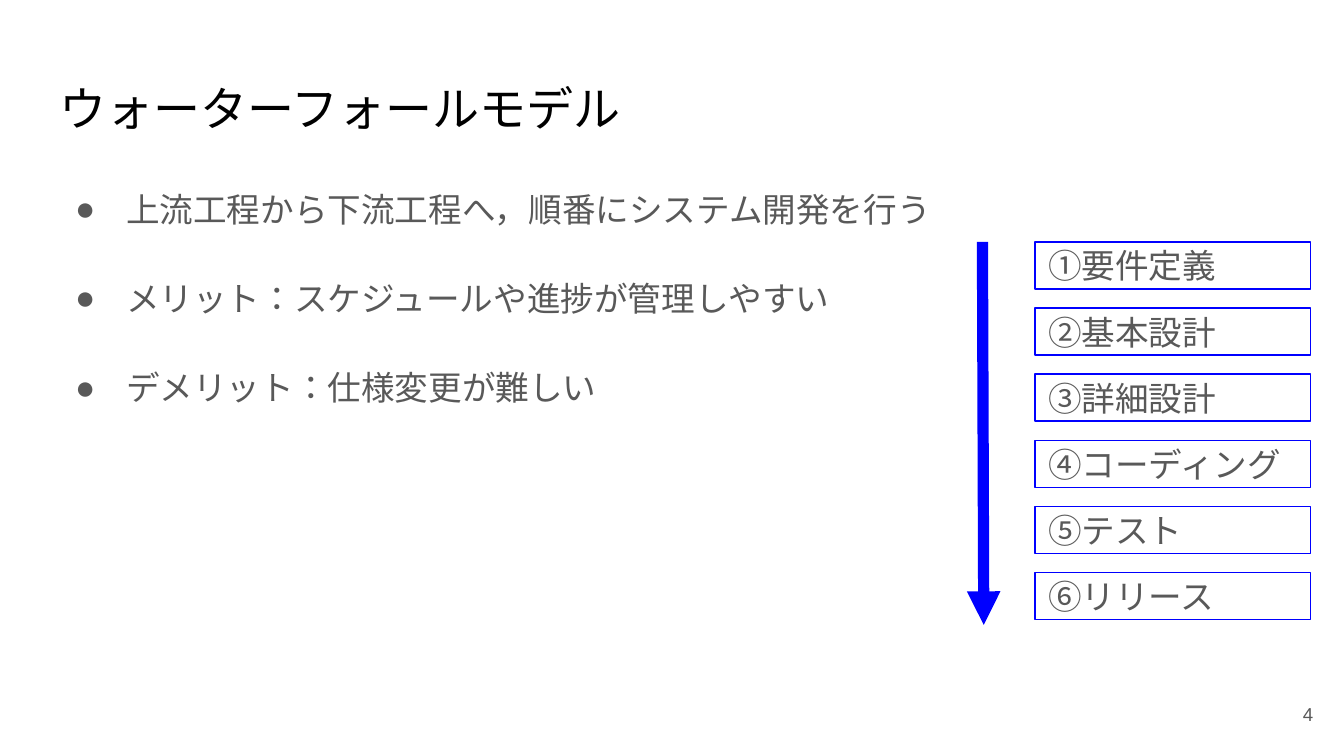
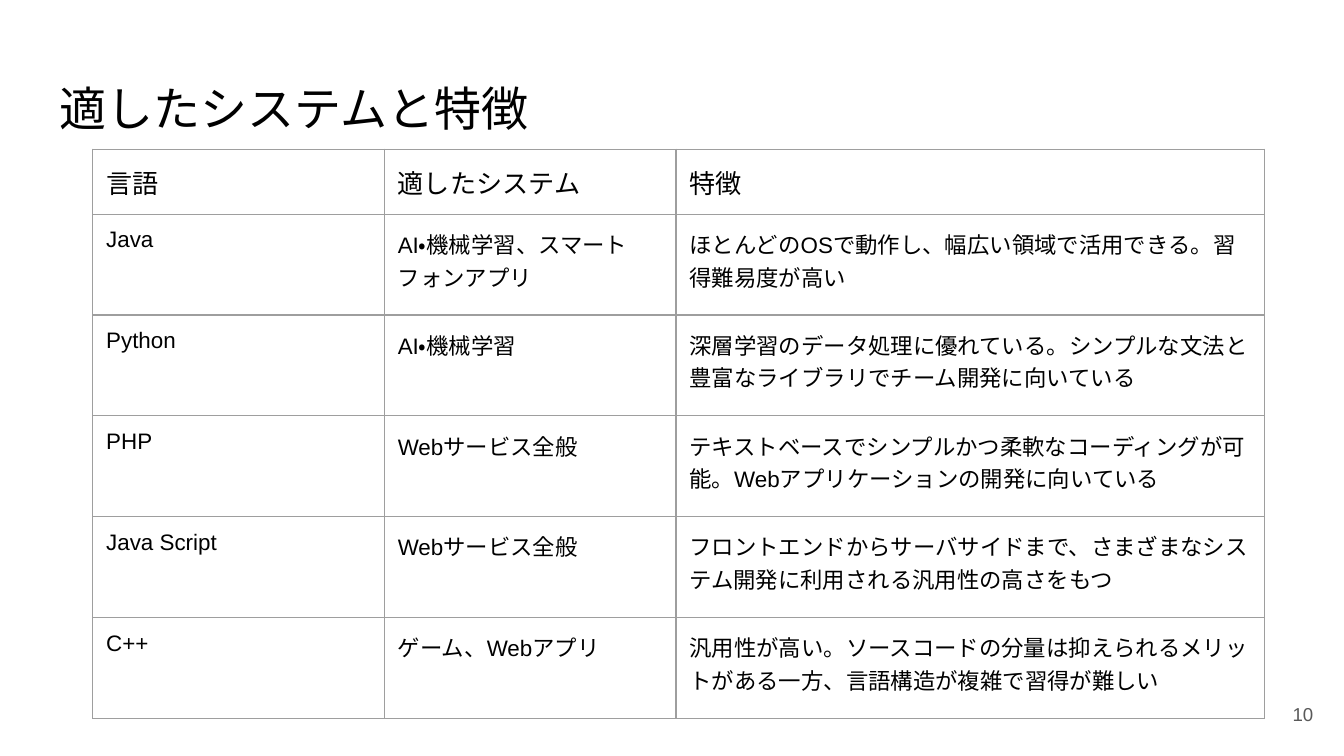
from dataclasses import dataclass
from typing import Any, NamedTuple

from lxml import etree
from pptx import Presentation
from pptx import util as u
from pptx.dml.color import RGBColor
from pptx.enum import shapes, text
from pptx.oxml import ns


@dataclass(frozen=True)
class Theme:
    font: str = "Arial"
    language: str = "ja"
    ink: str = "000000"
    muted: str = "595959"
    accent: str = "0000FF"
    grid: str = "9E9E9E"
    background: str = "FFFFFF"
    title_size: float = 25.2
    body_size: float = 18
    header_size: float = 14
    cell_size: float = 12
    number_size: float = 10
    thin: float = 0.75
    thick: float = 6


class Box(NamedTuple):
    left: float
    top: float
    width: float
    height: float

    def lengths(self) -> list[u.Length]:
        return [u.Inches(value) for value in self]


class LanguageRow(NamedTuple):
    language: str
    systems: str
    features: str


THEME = Theme()
SLIDE_WIDTH = 10
INSET = u.Inches(0.1)
MARGINS = {f"margin_{side}": INSET for side in ("left", "top", "right", "bottom")}
FRAME = {**MARGINS, "word_wrap": True, "auto_size": text.MSO_AUTO_SIZE.NONE}
TOP = {"vertical_anchor": text.MSO_ANCHOR.TOP}
MIDDLE = {"vertical_anchor": text.MSO_ANCHOR.MIDDLE}
LEFT = {"alignment": text.PP_ALIGN.LEFT}
RIGHT = {"alignment": text.PP_ALIGN.RIGHT}
BULLET = {**LEFT, "line_spacing": 1.15, "space_after": u.Pt(23)}

TITLE_BOX = Box(0.34, 0.49, 9.32, 0.63)
BODY_BOX = Box(0.34, 1.26, 9.32, 4.21)
NUMBER_BOX = Box(9.27, 5.1, 0.6, 0.43)
FIRST_STEP = Box(7.7, 1.8, 2.05, 0.35)
STEP_PITCH = 2.46 / 5
TABLE_LEFT, TABLE_TOP = 0.69, 1.11
COLUMN_WIDTHS = (2.17, 2.17, 4.38)
HEADER_HEIGHT, ROW_HEIGHT = 0.36, 0.75

POINTS = (
    "上流工程から下流工程へ，順番にシステム開発を行う",
    "メリット：スケジュールや進捗が管理しやすい",
    "デメリット：仕様変更が難しい",
)
STEPS = (
    "①要件定義",
    "②基本設計",
    "③詳細設計",
    "④コーディング",
    "⑤テスト",
    "⑥リリース",
)
LANGUAGES = (
    LanguageRow("言語", "適したシステム", "特徴"),
    LanguageRow(
        "Java",
        "AI・機械学習、スマートフォンアプリ",
        "ほとんどのOSで動作し、幅広い領域で活用できる。習得難易度が高い",
    ),
    LanguageRow(
        "Python",
        "AI・機械学習",
        "深層学習のデータ処理に優れている。シンプルな文法と豊富なライブラリでチーム開発に向いている",
    ),
    LanguageRow(
        "PHP",
        "Webサービス全般",
        "テキストベースでシンプルかつ柔軟なコーディングが可能。Webアプリケーションの開発に向いている",
    ),
    LanguageRow(
        "Java Script",
        "Webサービス全般",
        "フロントエンドからサーバサイドまで、さまざまなシステム開発に利用される汎用性の高さをもつ",
    ),
    LanguageRow(
        "C++",
        "ゲーム、Webアプリ",
        "汎用性が高い。ソースコードの分量は抑えられるメリットがある一方、言語構造が複雑で習得が難しい",
    ),
)


def apply(target: Any, values: dict[str, Any]) -> None:
    for name, value in values.items():
        setattr(target, name, value)


def add_element(parent: Any, tag: str, **attributes: str) -> Any:
    return etree.SubElement(parent, ns.qn(tag), attributes)


def write(
    paragraph: Any,
    content: str,
    size: float,
    color: str,
    values: dict[str, Any],
    east_asian: bool = True,
) -> None:
    apply(paragraph, values)
    run = paragraph.add_run()
    run.text = content
    apply(run.font, {"name": THEME.font, "size": u.Pt(size), "bold": False})
    run.font.color.rgb = RGBColor.from_string(color)
    properties = run._r.get_or_add_rPr()
    properties.set("lang", THEME.language)
    if east_asian:
        add_element(properties, "a:ea", typeface=THEME.font)


def style_line(line: Any, color: str, width: float) -> None:
    line.color.rgb = RGBColor.from_string(color)
    line.width = u.Pt(width)


def add_page(presentation: Any, title: str, number: int) -> Any:
    slide = presentation.slides.add_slide(presentation.slide_layouts.get_by_name("Title Only"))
    slide.background.fill.solid()
    slide.background.fill.fore_color.rgb = RGBColor.from_string(THEME.background)
    heading = slide.shapes.title
    apply(heading, dict(zip(("left", "top", "width", "height"), TITLE_BOX.lengths())))
    apply(heading.text_frame, {**FRAME, **TOP})
    write(heading.text_frame.paragraphs[0], title, THEME.title_size, THEME.ink, LEFT)
    page_number = slide.shapes.add_textbox(*NUMBER_BOX.lengths())
    apply(page_number.text_frame, {**FRAME, **MIDDLE})
    write(page_number.text_frame.paragraphs[0], str(number), THEME.number_size, THEME.muted, RIGHT)
    return slide


def add_points(slide: Any, points: tuple[str, ...]) -> None:
    frame = slide.shapes.add_textbox(*BODY_BOX.lengths()).text_frame
    apply(frame, {**FRAME, **TOP})
    for index, point in enumerate(points):
        paragraph = frame.add_paragraph() if index else frame.paragraphs[0]
        write(paragraph, point, THEME.body_size, THEME.muted, BULLET)
        properties = paragraph._p.get_or_add_pPr()
        properties.set("marL", str(u.Inches(0.5)))
        properties.set("indent", str(u.Inches(-0.38)))
        add_element(add_element(properties, "a:buClr"), "a:srgbClr", val=THEME.muted)
        add_element(properties, "a:buFont", typeface=THEME.font)
        add_element(properties, "a:buChar", char="●")


def add_step(slide: Any, label: str, box: Box) -> None:
    shape = slide.shapes.add_shape(shapes.MSO_SHAPE.RECTANGLE, *box.lengths())
    shape.shadow.inherit = False
    shape.fill.background()
    style_line(shape.line, THEME.accent, THEME.thin)
    apply(shape.text_frame, {**FRAME, **MIDDLE})
    write(shape.text_frame.paragraphs[0], label, THEME.body_size, THEME.muted, LEFT)


def add_flow_arrow(slide: Any) -> None:
    ends = [u.Inches(value) for value in (7.31, 1.8, 7.32, 4.65)]
    arrow = slide.shapes.add_connector(shapes.MSO_CONNECTOR.STRAIGHT, *ends)
    style_line(arrow.line, THEME.accent, THEME.thick)
    add_element(arrow.line._get_or_add_ln(), "a:tailEnd", type="triangle", w="med", len="med")
    add_element(arrow._element.spPr, "a:effectLst")


def style_cell(cell: Any) -> None:
    apply(cell, {**MARGINS, **TOP})
    properties = cell._tc.get_or_add_tcPr()
    for side in ("L", "R", "T", "B"):
        border = add_element(properties, f"a:ln{side}", w=str(u.Pt(THEME.thin)))
        add_element(add_element(border, "a:solidFill"), "a:srgbClr", val=THEME.grid)
    cell.fill.background()


def add_language_table(slide: Any, rows: tuple[LanguageRow, ...]) -> None:
    height = HEADER_HEIGHT + ROW_HEIGHT * (len(rows) - 1)
    box = Box(TABLE_LEFT, TABLE_TOP, sum(COLUMN_WIDTHS), height)
    table = slide.shapes.add_table(len(rows), len(COLUMN_WIDTHS), *box.lengths()).table
    apply(table, {"first_row": False, "horz_banding": False})
    for column, width in zip(table.columns, COLUMN_WIDTHS):
        column.width = u.Inches(width)
    for index, (row, contents) in enumerate(zip(table.rows, rows)):
        row.height = u.Inches(ROW_HEIGHT if index else HEADER_HEIGHT)
        size = THEME.cell_size if index else THEME.header_size
        for cell, content in zip(row.cells, contents):
            style_cell(cell)
            paragraph = cell.text_frame.paragraphs[0]
            write(paragraph, content, size, THEME.ink, LEFT, east_asian=False)


def main() -> None:
    presentation = Presentation()
    slide_size = {
        "slide_width": u.Inches(SLIDE_WIDTH),
        "slide_height": u.Inches(SLIDE_WIDTH * 9 / 16),
    }
    apply(presentation, slide_size)

    waterfall = add_page(presentation, "ウォーターフォールモデル", 4)
    add_points(waterfall, POINTS)
    for index, label in enumerate(STEPS):
        add_step(waterfall, label, FIRST_STEP._replace(top=FIRST_STEP.top + index * STEP_PITCH))
    add_flow_arrow(waterfall)

    languages = add_page(presentation, "適したシステムと特徴", 10)
    add_language_table(languages, LANGUAGES)

    presentation.save("out.pptx")


if __name__ == "__main__":
    main()
